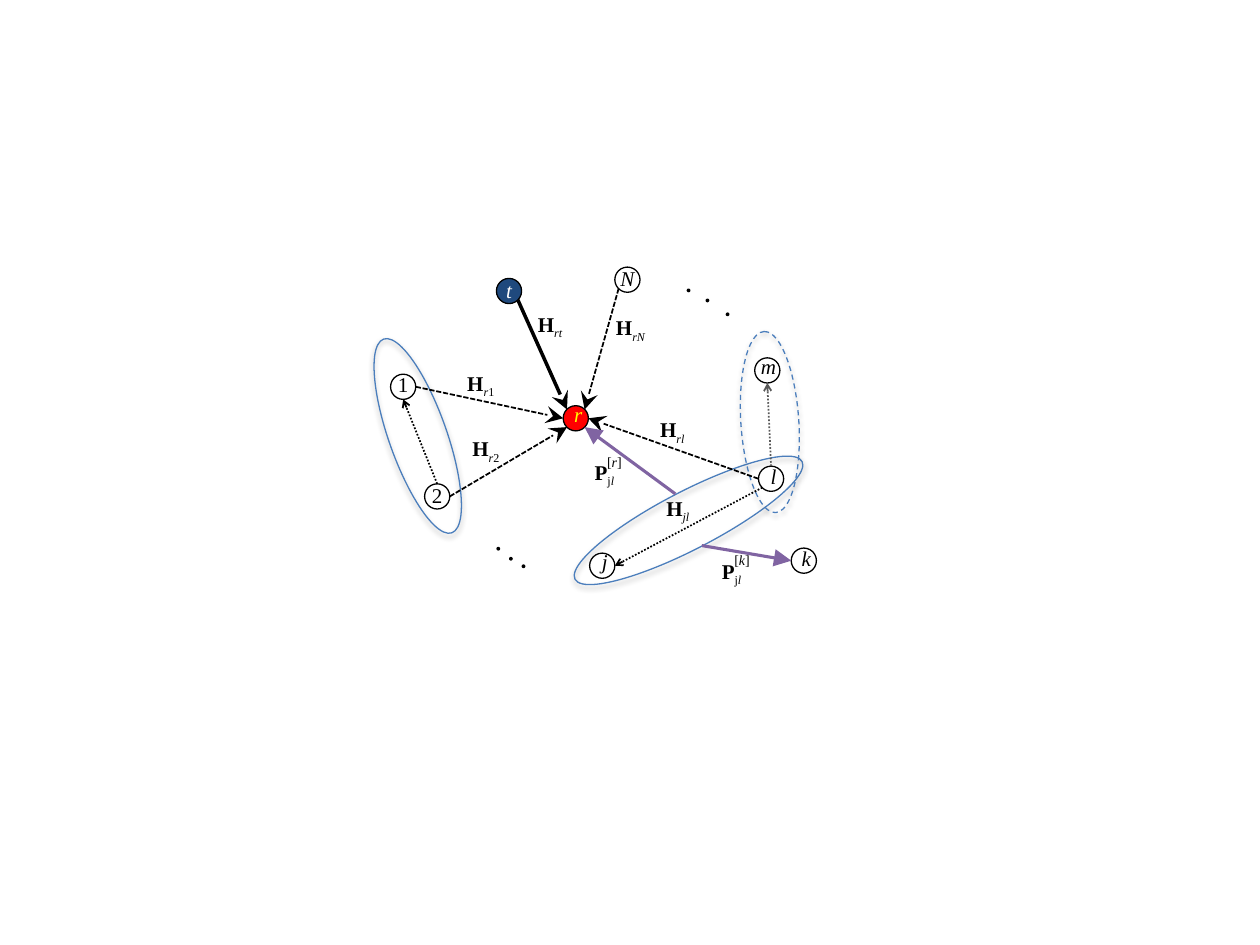
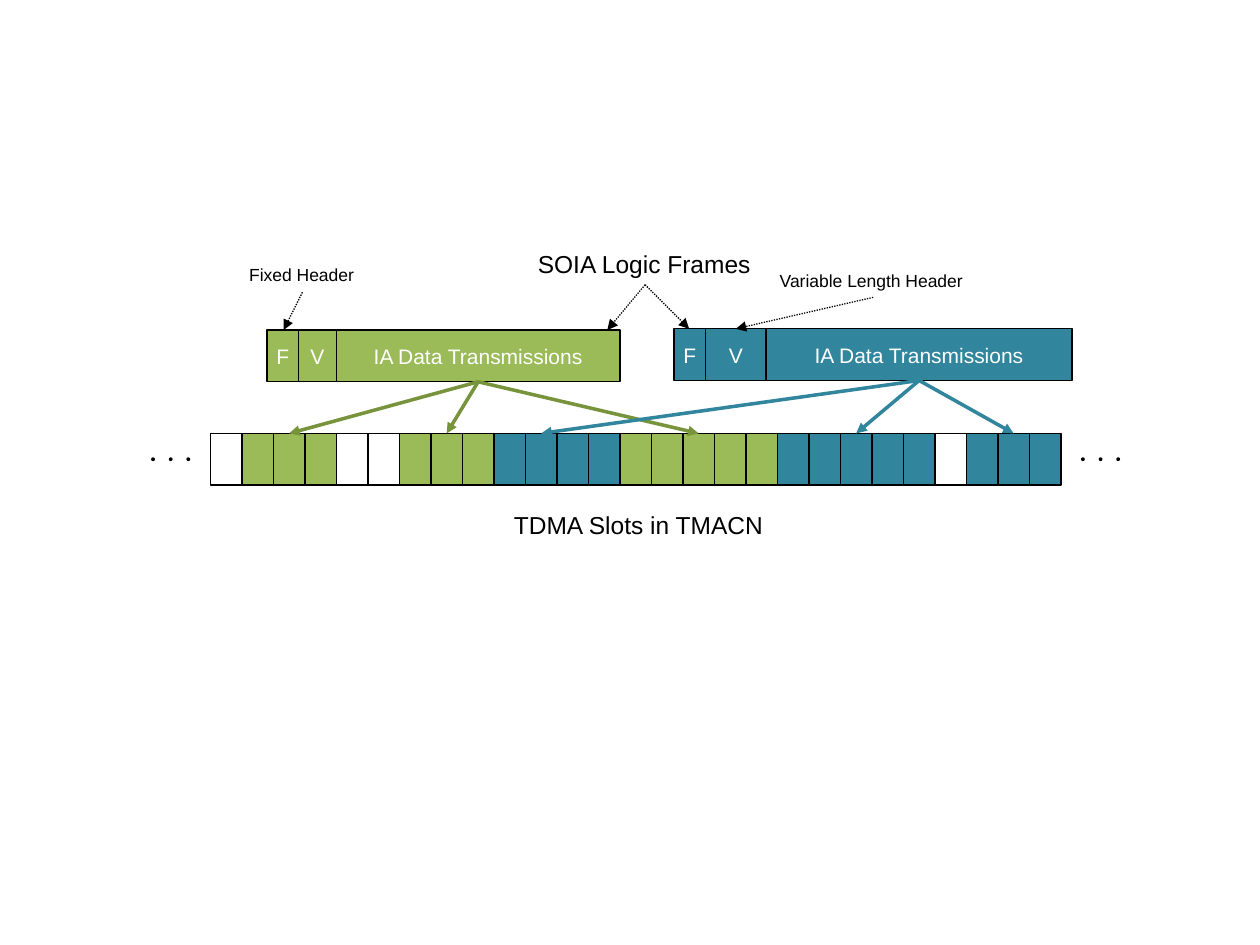
import dataclasses
import pptx
import pptx.util
import pptx.dml.color
import pptx.enum.dml
import pptx.enum.shapes
import pptx.enum.text
import pptx.oxml.ns
import lxml.etree

BLACK, WHITE, RED, YELLOW = "000000", "FFFFFF", "FF0000", "FFFF00"
NAVY, BLUE, PURPLE, GREY = "1F497D", "4B7EBC", "8064A2", "595959"
GREEN, DARK_GREEN, TEAL = "9BBB59", "77933C", "31859C"
SERIF, SANS = "Times New Roman", "Arial"
CM_PER_INCH = 2.54
DASHED = pptx.enum.dml.MSO_LINE.SQUARE_DOT
DOTTED = pptx.enum.dml.MSO_LINE.ROUND_DOT
OVAL = pptx.enum.shapes.MSO_SHAPE.OVAL
RECTANGLE = pptx.enum.shapes.MSO_SHAPE.RECTANGLE
CENTER = pptx.enum.text.PP_ALIGN.CENTER
MIDDLE = pptx.enum.text.MSO_ANCHOR.MIDDLE
GROW = pptx.enum.text.MSO_AUTO_SIZE.SHAPE_TO_FIT_TEXT
NO_INSETS = {"margin_left": 0, "margin_right": 0, "margin_top": 0, "margin_bottom": 0}
BOLD, ITALIC = {"bold": True}, {"italic": True}
SUB = {"baseline": -25000}
ITALIC_SUB = {**ITALIC, **SUB}


@dataclasses.dataclass
class Box:
    left: float
    top: float
    width: float
    height: float

    def inner(self, left, top, width, height):
        return Box(self.left + left, self.top + top, width, height)

    def point(self, x, y):
        return self.left + x, self.top + y

    def emu(self):
        return [length(value) for value in (self.left, self.top, self.width, self.height)]


def length(inches):
    return pptx.util.Cm(inches * CM_PER_INCH)


def colour(value):
    return pptx.dml.color.RGBColor.from_string(value)


def apply(target, values):
    for name, value in values.items():
        setattr(target, name, value)


def add_xml(parent, tag, **attributes):
    child = lxml.etree.SubElement(parent, pptx.oxml.ns.qn(tag))
    for name, value in attributes.items():
        child.set(name, str(value))
    return child


def write(shape, spans, size, font, ink=BLACK, align=None, **frame_format):
    frame = shape.text_frame
    apply(frame, frame_format)
    para = frame.paragraphs[0]
    para.alignment = align
    for text, style in spans:
        span = para.add_run()
        span.text = text
        values = dict(style)
        baseline = values.pop("baseline", None)
        apply(span.font, {"name": font, "size": pptx.util.Pt(size), **values})
        span.font.color.rgb = colour(ink)
        if baseline:
            span._r.get_or_add_rPr().set("baseline", str(baseline))


def add_text(shapes, box, spans, size, font, ink=BLACK, align=None, **frame_format):
    shape = shapes.add_textbox(*box.emu())
    values = {"word_wrap": False, "auto_size": GROW, **frame_format}
    write(shape, spans, size, font, ink, align, **values)


def add_outline(shapes, kind, box, fill=None, line=BLACK):
    shape = shapes.add_shape(kind, *box.emu())
    shape.shadow.inherit = False
    if fill:
        shape.fill.solid()
        shape.fill.fore_color.rgb = colour(fill)
    else:
        shape.fill.background()
    if line:
        shape.line.color.rgb = colour(line)
        shape.line.width = pptx.util.Pt(0.75)
    else:
        shape.line.fill.background()
    return shape


def add_arrow(shapes, start, end, ink, width, head, dash=None, head_size="med"):
    ends = [length(value) for value in (*start, *end)]
    arrow = shapes.add_connector(pptx.enum.shapes.MSO_CONNECTOR.STRAIGHT, *ends)
    arrow.line.color.rgb = colour(ink)
    arrow.line.width = pptx.util.Pt(width)
    if dash:
        arrow.line.dash_style = dash
    properties = arrow._element.spPr
    outline = properties.find(pptx.oxml.ns.qn("a:ln"))
    add_xml(outline, "a:tailEnd", type=head, w=head_size, len=head_size)
    add_xml(properties, "a:effectLst")


def add_dots(page, box, offsets):
    group = page.shapes.add_group_shape()
    for x, y in offsets:
        add_outline(group.shapes, OVAL, box.inner(x, y, 0.03, 0.03), BLACK, None)


def add_node(page, box, text, style, shift, fill=None, ink=BLACK):
    group = page.shapes.add_group_shape()
    add_outline(group.shapes, OVAL, box, fill)
    label = box.inner(0.06 + shift[0], -0.05 + shift[1], 0.08, 0.3)
    add_text(group.shapes, label, [(text, style)], 12, SERIF, ink, CENTER,
             vertical_anchor=MIDDLE, auto_size=None, **NO_INSETS)


def add_pair_ring(page, box, angle, dash=None):
    ring = add_outline(page.shapes, OVAL, box, line=BLUE)
    ring.rotation = angle
    if dash:
        ring.line.dash_style = dash
    effects = ring._element.spPr.find(pptx.oxml.ns.qn("a:effectLst"))
    shadow = add_xml(effects, "a:outerShdw", blurRad=40000, dist=23000, dir=5400000, rotWithShape=0)
    add_xml(add_xml(shadow, "a:srgbClr", val=BLACK), "a:alpha", val=35000)


def add_precoder(page, box, receiver):
    group = page.shapes.add_group_shape()
    add_text(group.shapes, box.inner(0, 0, 0.42, 0.3),
             [("P", BOLD), ("j", SUB), ("l", ITALIC_SUB)], 12, SERIF)
    add_text(group.shapes, box.inner(0.1, -0.05, 0.36, 0.24),
             [("[", {}), (receiver, ITALIC), ("]", {})], 8, SERIF)


def draw_network(page, box):
    add_arrow(page.shapes, box.point(2.11, 0.38), box.point(2.5, 1.25),
              BLACK, 2, "stealth", head_size="lg")
    for x, y, text, style, shift, *paint in [
        (1.94, 0.21, "t", ITALIC, (0, -0.01), NAVY, WHITE),
        (1.1, 0.97, "1", {}, (0, -0.02)),
        (2.47, 1.22, "r", ITALIC, (0.02, -0.03), RED, YELLOW),
        (1.37, 1.84, "2", {}, (0, -0.01)),
        (2.68, 2.39, "j", ITALIC, (0.02, -0.04)),
        (4.28, 2.35, "k", ITALIC, (0.02, -0.02)),
        (2.88, 0.12, "N", ITALIC, (0, -0.01)),
        (4.02, 1.7, "l", ITALIC, (0.02, -0.02)),
        (3.99, 0.84, "m", ITALIC, (0.01, -0.03)),
    ]:
        add_node(page, box.inner(x, y, 0.2, 0.2), text, style, shift, *paint)

    for left, top, width, angle, *dash in [
        (2.45, 1.9, 2.03, 332.6),
        (0.5, 1.23, 1.63, 70.6),
        (3.39, 1.12, 1.44, 86.3, pptx.enum.dml.MSO_LINE.DASH),
    ]:
        add_pair_ring(page, box.inner(left, top, width, 0.46), angle, *dash)

    interference = (BLACK, 1, "stealth", DASHED, "lg")
    pairing = (BLACK, 1, "arrow", DOTTED, "sm")
    precoding = (PURPLE, 1.75, "triangle", None, "lg")
    for start, end, style in [
        ((1.3, 1.07), (2.47, 1.32), interference),
        ((1.57, 1.94), (2.5, 1.39), interference),
        ((4.02, 1.8), (2.67, 1.32), interference),
        ((2.91, 0.29), (2.64, 1.25), interference),
        ((4.05, 1.87), (2.88, 2.49), pairing),
        ((1.47, 1.84), (1.2, 1.17), pairing),
        ((4.12, 1.7), (4.09, 1.04), (GREY, *pairing[1:])),
        ((3.36, 1.92), (2.64, 1.39), precoding),
        ((3.57, 2.33), (4.28, 2.45), precoding),
    ]:
        add_arrow(page.shapes, box.point(*start), box.point(*end), *style)

    for left, top, width, italic, upright in [
        (2.17, 0.42, 0.44, "rt", ""),
        (1.61, 0.89, 0.43, "r", "1"),
        (1.65, 1.41, 0.43, "r", "2"),
        (3.14, 1.26, 0.44, "rl", ""),
        (2.79, 0.45, 0.48, "rN", ""),
        (3.19, 1.88, 0.43, "jl", ""),
    ]:
        spans = [("H", BOLD), (italic, ITALIC_SUB)] + ([(upright, SUB)] if upright else [])
        add_text(page.shapes, box.inner(left, top, width, 0.3), spans, 12, SERIF)

    add_precoder(page, box.inner(3.63, 2.38, 0.46, 0.3), "k")
    add_precoder(page, box.inner(2.62, 1.6, 0.46, 0.3), "r")
    add_dots(page, box, [(3.45, 0.29), (3.6, 0.37), (3.76, 0.48)])
    add_dots(page, box, [(1.94, 2.34), (2.04, 2.42), (2.14, 2.48)])


def draw_slots(page, box, runs):
    count = sum(size for size, fill in runs)
    width = box.width / count
    targets = {}
    first = 0
    for size, fill in runs:
        for slot in range(first, first + size):
            add_outline(page.shapes, RECTANGLE, box.inner(slot * width, 0, width, box.height), fill)
        middle = first + (size - 1) // 2 + 0.5
        targets.setdefault(fill, []).append(box.point(middle * width, 0))
        first += size
    for start in (-0.47, box.width + 0.16):
        add_dots(page, box, [(start + 0.14 * step, 0.19) for step in range(3)])
    return targets


def draw_frame(page, box, variable_width, fill, arrow_colour, targets):
    group = page.shapes.add_group_shape()
    narrow = {"margin_left": 0, "margin_right": 0}
    data_left = 0.25 + variable_width
    for text, left, width, insets in [
        ("F", 0, 0.25, narrow),
        ("V", 0.25, variable_width, narrow),
        ("IA Data Transmissions", data_left, box.width - data_left, {}),
    ]:
        part = add_outline(group.shapes, RECTANGLE, box.inner(left, 0, width, box.height), fill)
        write(part, [(text, {})], 12, SANS, WHITE, CENTER, vertical_anchor=MIDDLE, **insets)
    start = box.point((data_left + box.width) / 2, box.height)
    for target in targets:
        add_arrow(page.shapes, start, target, arrow_colour, 2, "triangle")


def draw_captions(page, box):
    for text, left, top, width, height, size in [
        ("TDMA Slots in TMACN", 2.98, 2, 2.19, 0.34, 14),
        ("SOIA Logic Frames", 3.17, -0.07, 1.9, 0.34, 14),
        ("Fixed Header", 0.88, 0.05, 1.04, 0.27, 10),
        ("Variable Length Header", 5.09, 0.09, 1.67, 0.27, 10),
    ]:
        add_text(page.shapes, box.inner(left, top, width, height), [(text, {})], size, SANS)
    for start, end in [
        ((4.12, 0.26), (3.82, 0.62)),
        ((4.12, 0.26), (4.47, 0.61)),
        ((1.4, 0.32), (1.25, 0.62)),
        ((5.93, 0.36), (4.84, 0.61)),
    ]:
        add_arrow(page.shapes, box.point(*start), box.point(*end), BLACK, 0.75, "triangle", DOTTED)


def draw_schedule(page, box):
    runs = [(1, None), (3, GREEN), (2, None), (3, GREEN), (4, TEAL),
            (5, GREEN), (5, TEAL), (1, None), (3, TEAL)]
    targets = draw_slots(page, box.inner(0.67, 1.44, 6.75, 0.41), runs)
    draw_frame(page, box.inner(1.12, 0.62, 2.8, 0.41), 0.3, GREEN, DARK_GREEN, targets[GREEN])
    draw_frame(page, box.inner(4.35, 0.61, 3.16, 0.41), 0.48, TEAL, TEAL, targets[TEAL])
    draw_captions(page, box)


deck = pptx.Presentation()
deck.slide_width, deck.slide_height = length(10), length(7.5)
blank = deck.slide_layouts[6]
for draw, area in [(draw_network, Box(2, 2, 5, 3)), (draw_schedule, Box(1, 2, 8, 2.5))]:
    draw(deck.slides.add_slide(blank), area)
deck.save("out.pptx")
